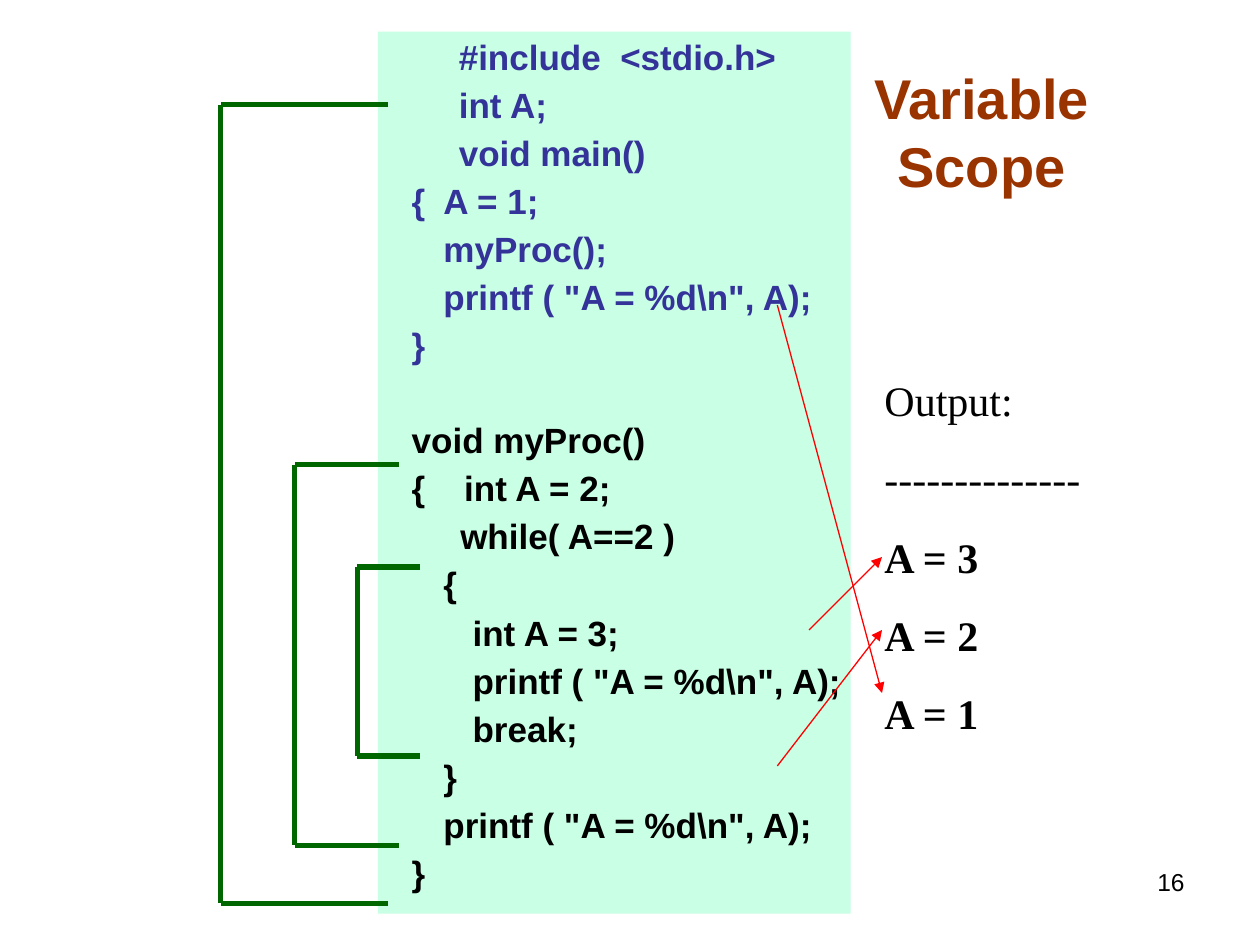
from dataclasses import dataclass

from lxml.etree import SubElement
from pptx import Presentation
from pptx.dml.color import RGBColor
from pptx.enum.shapes import MSO_CONNECTOR, MSO_SHAPE
from pptx.enum.text import MSO_ANCHOR, PP_ALIGN
from pptx.oxml.ns import qn
from pptx.util import Cm, Pt


@dataclass(frozen=True)
class Theme:
    sans: str = "Arial"
    serif: str = "Times New Roman"
    panel: str = "C9FFE4"
    title: str = "993300"
    main_code: str = "333399"
    text: str = "000000"
    scope: str = "006600"
    arrow: str = "FF0000"
    title_size: int = 32
    output_size: int = 24
    code_size: int = 20
    number_size: int = 14


THEME = Theme()

CODE_GAP = 5.9
FUNCTION_GAP = 32.5
OUTPUT_GAP = 16
CODE_TAB = Cm(0.64)
HEADER_INDENT = Cm(0.95)

HEADER_LINES = ["#include  <stdio.h>", "int A;", "void main()"]
MAIN_LINES = ["{\tA = 1;", "\tmyProc();", '\tprintf ( "A = %d\\n", A);', "}"]
PROC_LINES = [
    "void myProc()",
    "{    int A = 2;",
    "     while( A==2 )",
    "\t{",
    "\t   int A = 3;",
    '\t   printf ( "A = %d\\n", A);',
    "\t   break;",
    "\t}",
    '\tprintf ( "A = %d\\n", A);',
    "}",
]
OUTPUT_LINES = ["Output:", "--------------", "A = 3", "A = 2", "A = 1"]

# Spine x, tip x, top y and bottom y of each variable's scope, in cm
SCOPES = [
    (4.45, 7.82, 2.11, 18.21),
    (5.94, 8.05, 9.37, 17.04),
    (7.2, 8.46, 11.43, 15.24),
]
# From each printf call to the line it prints, in cm
PRINT_ARROWS = [
    ((15.67, 6.15), (17.78, 13.97)),
    ((16.31, 12.7), (17.78, 11.23)),
    ((15.67, 15.44), (17.78, 12.7)),
]


def add_panel(slide, left, top, width, height):
    panel = slide.shapes.add_shape(
        MSO_SHAPE.RECTANGLE, Cm(left), Cm(top), Cm(width), Cm(height))
    panel.shadow.inherit = False
    panel.fill.solid()
    panel.fill.fore_color.rgb = RGBColor.from_string(THEME.panel)
    panel.line.fill.background()


def add_text_frame(slide, left, top, width, height, anchor=MSO_ANCHOR.TOP):
    frame = slide.shapes.add_textbox(
        Cm(left), Cm(top), Cm(width), Cm(height)).text_frame
    frame.word_wrap = True
    frame.vertical_anchor = anchor
    return frame


def add_line_of_text(frame, text, size, color, font=THEME.sans, bold=False,
                     align=PP_ALIGN.LEFT, gap=0):
    """Fill the frame's empty first paragraph, or append one after a gap."""
    first = frame.paragraphs[0]
    if first.runs:
        paragraph = frame.add_paragraph()
        paragraph.space_before = Pt(gap)
    else:
        paragraph = first
    paragraph.alignment = align
    run = paragraph.add_run()
    run.text = text
    run.font.name = font
    run.font.size = Pt(size)
    run.font.bold = bold
    run.font.color.rgb = RGBColor.from_string(color)
    return paragraph


def set_indent(paragraph, margin, hanging=0):
    """Set the left margin; a hanging indent gets a tab stop at the margin."""
    properties = paragraph._p.get_or_add_pPr()
    properties.set("marL", str(margin))
    properties.set("indent", str(-hanging))
    if hanging:
        tabs = SubElement(properties, qn("a:tabLst"))
        SubElement(tabs, qn("a:tab"), pos=str(margin), algn="l")


def add_code(frame, lines, color, margin, hanging=0, lead_gap=CODE_GAP):
    for index, text in enumerate(lines):
        gap = CODE_GAP if index else lead_gap
        paragraph = add_line_of_text(
            frame, text, THEME.code_size, color, bold=True, gap=gap)
        set_indent(paragraph, margin, hanging)
        paragraph.line_spacing = 0.9


def add_line(slide, start, end, color, width, arrow=False):
    line = slide.shapes.add_connector(
        MSO_CONNECTOR.STRAIGHT, *(Cm(value) for value in (*start, *end)))
    line.line.color.rgb = RGBColor.from_string(color)
    line.line.width = Pt(width)
    if arrow:
        SubElement(line.line._get_or_add_ln(), qn("a:tailEnd"), type="triangle")
    SubElement(line._element.spPr, qn("a:effectLst"))


def add_scope_bracket(slide, spine, tip, top, bottom):
    corners = [(tip, top), (spine, top), (spine, bottom), (tip, bottom)]
    for start, end in zip(corners, corners[1:]):
        add_line(slide, start, end, THEME.scope, 3)


def main():
    presentation = Presentation()
    presentation.slide_width = Cm(25.4)
    presentation.slide_height = Cm(19.05)
    slide = presentation.slides.add_slide(presentation.slide_layouts[6])

    add_panel(slide, 7.62, 0.64, 9.53, 17.78)

    title = add_text_frame(slide, 15.88, 0.64, 7.82, 4.01, MSO_ANCHOR.MIDDLE)
    add_line_of_text(title, "Variable Scope", THEME.title_size, THEME.title,
                     bold=True, align=PP_ALIGN.CENTER)

    for scope in SCOPES:
        add_scope_bracket(slide, *scope)

    output = add_text_frame(slide, 17.58, 7.42, 7.82, 11.2)
    for text in OUTPUT_LINES:
        add_line_of_text(output, text, THEME.output_size, THEME.text,
                         font=THEME.serif, bold=text.startswith("A"),
                         gap=OUTPUT_GAP)

    code = add_text_frame(slide, 8.05, 0.68, 9.73, 17.5)
    add_code(code, HEADER_LINES, THEME.main_code, HEADER_INDENT)
    add_code(code, MAIN_LINES, THEME.main_code, CODE_TAB, CODE_TAB)
    add_code(code, PROC_LINES, THEME.text, CODE_TAB, CODE_TAB, FUNCTION_GAP)

    for start, end in PRINT_ARROWS:
        add_line(slide, start, end, THEME.arrow, 0.75, arrow=True)

    number = add_text_frame(slide, 18.21, 17.35, 5.92, 1.32)
    add_line_of_text(number, "16", THEME.number_size, THEME.text,
                     align=PP_ALIGN.RIGHT)

    presentation.save("out.pptx")


if __name__ == "__main__":
    main()
